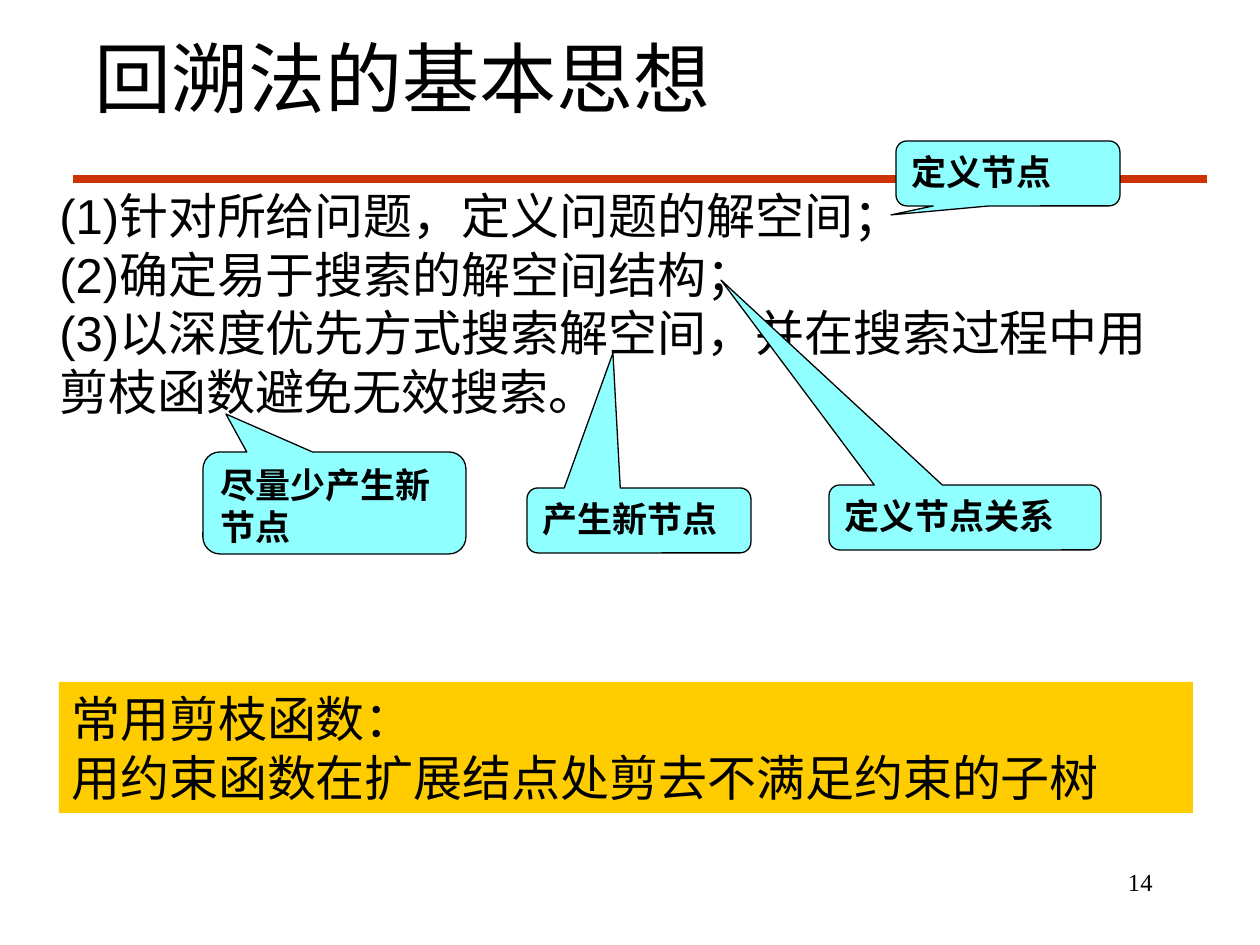
from dataclasses import dataclass

from lxml import etree
from pptx import Presentation
from pptx.dml.color import RGBColor
from pptx.enum.shapes import MSO_CONNECTOR, MSO_SHAPE
from pptx.enum.text import MSO_ANCHOR, MSO_AUTO_SIZE, PP_ALIGN
from pptx.oxml.ns import qn
from pptx.util import Emu, Pt

SCALE = 914400 // 126
LEFT, RIGHT = PP_ALIGN.LEFT, PP_ALIGN.RIGHT
TOP, MIDDLE = MSO_ANCHOR.TOP, MSO_ANCHOR.MIDDLE
NO_FIT = MSO_AUTO_SIZE.NONE
CALLOUT, RECTANGLE = MSO_SHAPE.ROUNDED_RECTANGULAR_CALLOUT, MSO_SHAPE.RECTANGLE
STRAIGHT = MSO_CONNECTOR.STRAIGHT
TITLE_ONLY = 5


@dataclass(frozen=True)
class Theme:
    ink: str = "000000"
    rule: str = "CC3300"
    note: str = "8FFFFF"
    panel: str = "FFCC00"
    sans: str = "Arial"
    serif: str = "Times New Roman"
    title_size: int = 44
    body_size: int = 28
    note_size: int = 20
    number_size: int = 14


THEME = Theme()

STEPS = [
    "(1)针对所给问题，定义问题的解空间；",
    "(2)确定易于搜索的解空间结构；",
    "(3)以深度优先方式搜索解空间，并在搜索过程中用剪枝函数避免无效搜索。",
]
PRUNING = ["常用剪枝函数：", "用约束函数在扩展结点处剪去不满足约束的子树"]
NOTES = [
    ("定义节点", (896, 141, 224, 65), (891, 215)),
    ("定义节点关系", (829, 485, 272, 65), (721, 280)),
    ("产生新节点", (527, 488, 224, 65), (613, 353)),
    ("尽量少产生新节点", (203, 452, 263, 102), (226, 414)),
]


def px(value):
    return Emu(value * SCALE)


def color(value):
    return RGBColor.from_string(value)


def write(shape, lines, size=THEME.body_size, font=THEME.sans, bold=False,
          align=LEFT, anchor=TOP):
    frame = shape.text_frame
    frame.word_wrap = True
    frame.auto_size = NO_FIT
    frame.vertical_anchor = anchor
    frame.text = "\n".join(lines)
    for para in frame.paragraphs:
        para.alignment = align
        para.font.size = Pt(size)
        para.font.name = font
        para.font.bold = bold
        para.font.color.rgb = color(THEME.ink)


def add_title(page, text, bounds):
    title = page.shapes.title
    title.left, title.top, title.width, title.height = map(px, bounds)
    write(title, [text], size=THEME.title_size, anchor=MIDDLE)


def add_rule(page, left, right, y):
    rule = page.shapes.add_connector(STRAIGHT, px(left), px(y), px(right), px(y))
    rule.line.color.rgb = color(THEME.rule)
    rule.line.width = Pt(4.5)
    etree.SubElement(rule._element.spPr, qn("a:effectLst"))


def add_text(page, lines, bounds, **style):
    box = page.shapes.add_textbox(*map(px, bounds))
    write(box, lines, **style)


def add_box(page, kind, lines, bounds, fill, line=None, **style):
    box = page.shapes.add_shape(kind, *map(px, bounds))
    box.shadow.inherit = False
    box.fill.solid()
    box.fill.fore_color.rgb = color(fill)
    if line:
        box.line.color.rgb = color(line)
        box.line.width = Pt(0.75)
    else:
        box.line.fill.background()
    write(box, lines, **style)
    return box


def add_note(page, text, bounds, tip):
    left, top, width, height = bounds
    note = add_box(page, CALLOUT, [text], bounds, THEME.note, line=THEME.ink,
                   size=THEME.note_size, font=THEME.serif, bold=True)
    note.adjustments[0] = (tip[0] - left) / width - 0.5
    note.adjustments[1] = (tip[1] - top) / height - 0.5


def main():
    deck = Presentation()
    deck.slide_width, deck.slide_height = px(1260), px(945)
    page = deck.slides.add_slide(deck.slide_layouts[TITLE_ONLY])
    add_title(page, "回溯法的基本思想", (82, 21, 1071, 111))
    add_rule(page, 73, 1207, 179)
    add_text(page, ["14"], (903, 861, 262, 63), size=THEME.number_size,
             font=THEME.serif, align=RIGHT)
    add_text(page, STEPS, (47, 179, 1154, 248))
    add_box(page, RECTANGLE, PRUNING, (59, 682, 1134, 131), THEME.panel)
    for text, bounds, tip in NOTES:
        add_note(page, text, bounds, tip)
    deck.save("out.pptx")


main()
